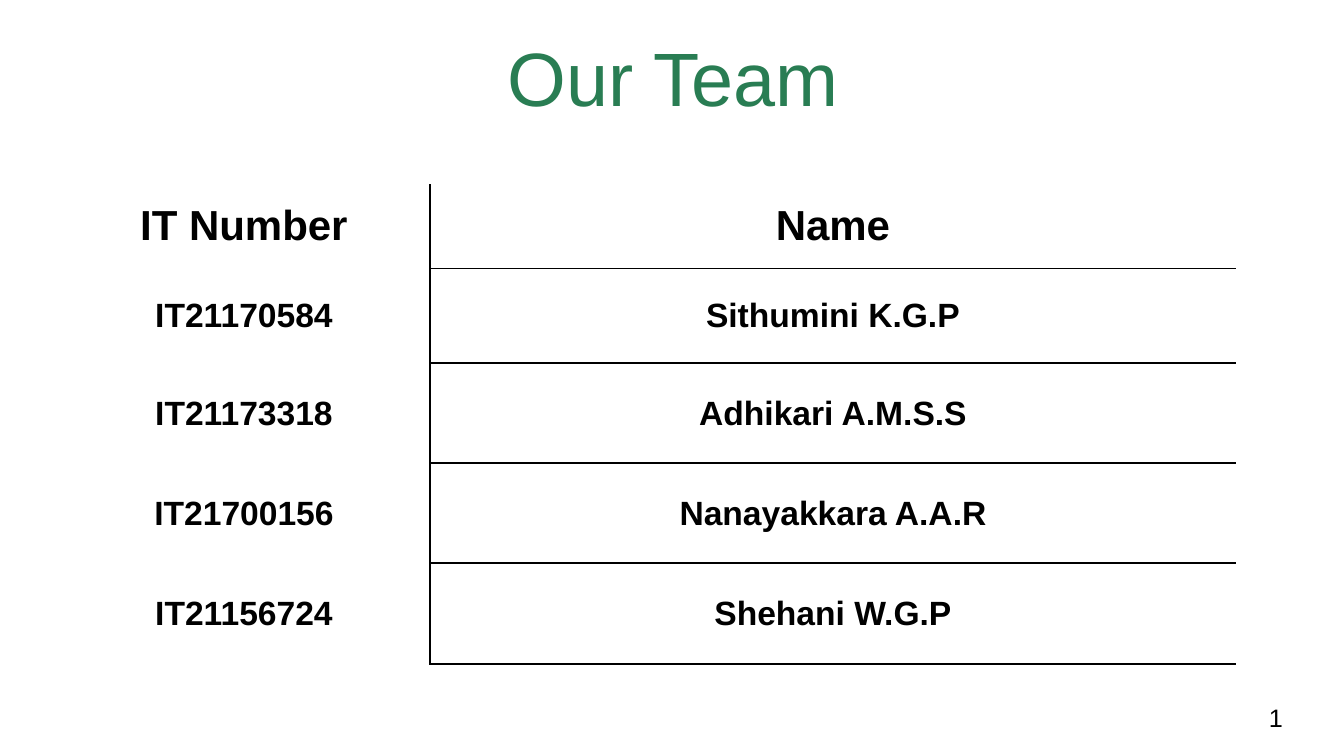
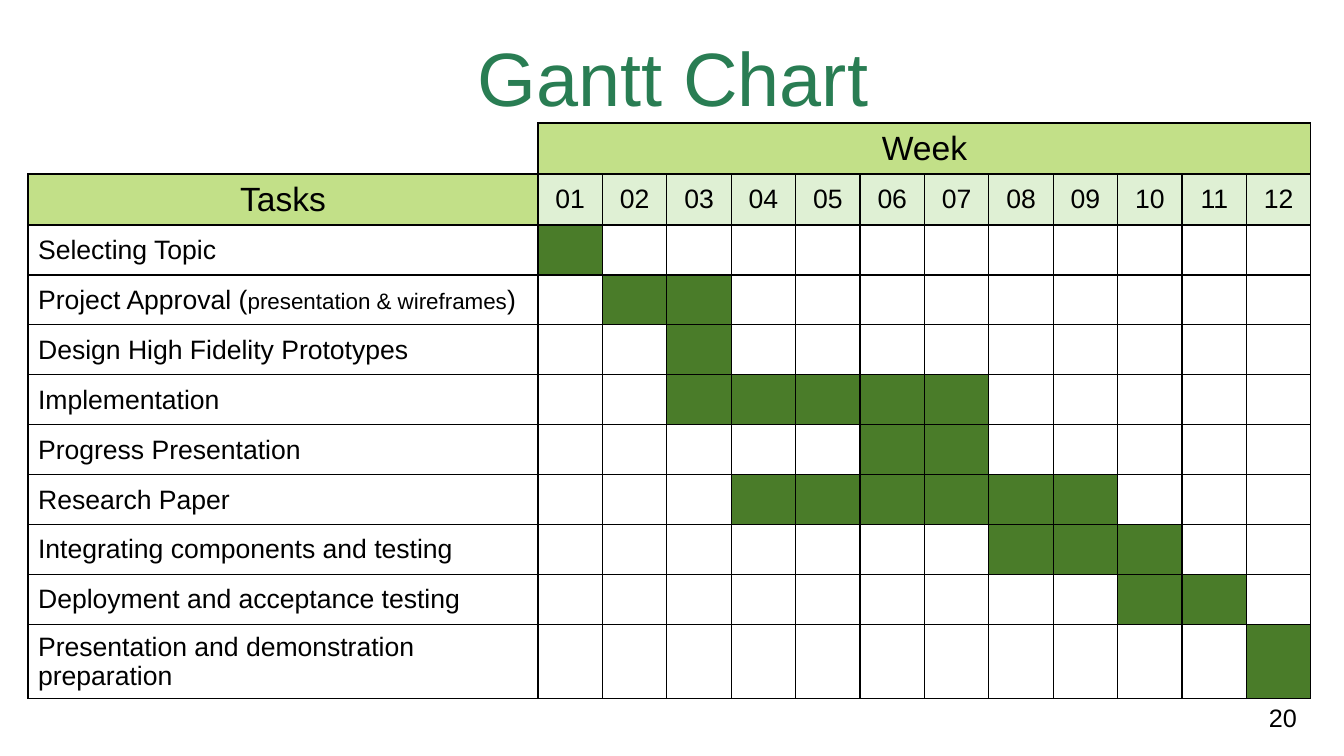
from lxml import etree
from pptx import Presentation
from pptx.dml.color import RGBColor
from pptx.enum.text import MSO_ANCHOR as Anchor, PP_ALIGN as Align
from pptx.oxml.ns import qn
from pptx.util import Pt

SLIDE_W, SLIDE_H = 1344, 756
SCALE = 12192000 / SLIDE_W
FONT = "Arial"
BLACK = RGBColor(0x00, 0x00, 0x00)
TITLE_GREEN = RGBColor(0x29, 0x7D, 0x53)
HEADER_GREEN = RGBColor(0xC2, 0xE0, 0x88)
WEEK_GREEN = RGBColor(0xDF, 0xF0, 0xD4)
BAR_GREEN = RGBColor(0x4A, 0x7C, 0x29)
PLAIN_TABLE_STYLE = "{2D5ABB26-0587-4C30-8999-92F81FD0307C}"
ALL_SIDES = "LRTB"

TITLE_BOX = (35, 42, 1276, 80)
NUMBER_LEFT, NUMBER_TOP, NUMBER_H = 1259, 697, 40
TEAM_BOX = (58, 184, 1178, 480)
GANTT_BOX = (28, 123, 1283, 573)

MEMBERS = [
    ("IT Number", "Name"),
    ("IT21170584", "Sithumini K.G.P"),
    ("IT21173318", "Adhikari A.M.S.S"),
    ("IT21700156", "Nanayakkara A.A.R"),
    ("IT21156724", "Shehani W.G.P"),
]
WEEKS = 12
TASKS = [
    ("Selecting Topic", 1, 1),
    ([("Project Approval (", 19), ("presentation & wireframes", 16), (")", 19)], 2, 3),
    ("Design High Fidelity Prototypes", 3, 3),
    ("Implementation", 3, 7),
    ("Progress Presentation", 6, 7),
    ("Research Paper", 4, 9),
    ("Integrating components and testing", 8, 10),
    ("Deployment and acceptance testing", 10, 11),
    ("Presentation and demonstration preparation", 12, 12),
]


def px(length):
    """Turn px into EMU."""
    return round(length * SCALE)


def write(frame, text, size=19, color=BLACK, bold=False, align=Align.LEFT, spacing=None):
    """Put one paragraph in a frame; text is a string or (text, size) runs."""
    paragraph = frame.paragraphs[0]
    paragraph.alignment = align
    if spacing:
        paragraph.line_spacing = spacing
    for words, run_size in [(text, size)] if isinstance(text, str) else text:
        run = paragraph.add_run()
        run.text = words
        run.font.name = FONT
        run.font.size = Pt(run_size)
        run.font.bold = bold
        run.font.color.rgb = color


def add_label(slide, box, text, anchor=Anchor.TOP, **style):
    """Add a wrapping text box."""
    frame = slide.shapes.add_textbox(*map(px, box)).text_frame
    frame.word_wrap = True
    frame.vertical_anchor = anchor
    write(frame, text, **style)


def add_page(deck, title, number):
    """Add a blank slide with its title and slide number."""
    slide = deck.slides.add_slide(deck.slide_layouts[6])
    add_label(slide, TITLE_BOX, title, anchor=Anchor.MIDDLE, size=54,
              color=TITLE_GREEN, align=Align.CENTER, spacing=0.9)
    number_w = 18 + 18 * len(number)
    add_label(slide, (NUMBER_LEFT, NUMBER_TOP, number_w, NUMBER_H), number, size=18)
    return slide


def add_grid(slide, box, widths, heights):
    """Add an unstyled table with the given column widths and row heights."""
    grid = slide.shapes.add_table(len(heights), len(widths), *map(px, box)).table
    grid.first_row = grid.horz_banding = False
    grid._tbl.tblPr.find(qn("a:tableStyleId")).text = PLAIN_TABLE_STYLE
    for column, width in zip(grid.columns, widths):
        column.width = px(width)
    for row, height in zip(grid.rows, heights):
        row.height = px(height)
    return grid


def style_cell(cell, sides, weight, fill=None):
    """Set the borders, fill and anchor of a cell."""
    properties = cell._tc.get_or_add_tcPr()
    for side in sides:
        border = etree.SubElement(properties, qn(f"a:ln{side}"), w=str(Pt(weight)))
        ink = etree.SubElement(border, qn("a:solidFill"))
        etree.SubElement(ink, qn("a:srgbClr"), val=str(BLACK))
    if fill is None:
        cell.fill.background()
    else:
        cell.fill.solid()
        cell.fill.fore_color.rgb = fill
    cell.vertical_anchor = Anchor.MIDDLE


def add_team(slide, box):
    """Draw the table of team members."""
    number_w = 372
    header_h, first_h, member_h = 84, 95, 100
    last_h = box[3] - header_h - first_h - 2 * member_h
    team = add_grid(slide, box, [number_w, box[2] - number_w],
                    [header_h, first_h, member_h, member_h, last_h])
    for row, member in enumerate(MEMBERS):
        name_sides = "LTB" if row else "LB"
        for column, (text, sides) in enumerate(zip(member, ("R", name_sides))):
            cell = team.cell(row, column)
            style_cell(cell, sides, 1.5)
            cell.margin_left = cell.margin_right = px(17)
            cell.margin_top = cell.margin_bottom = px(17)
            write(cell.text_frame, text, size=24 if row else 30, bold=True,
                  align=Align.CENTER)


def add_gantt(slide, box):
    """Draw the task schedule by week."""
    task_w, header_h, task_h = 510, 51, 50
    week_w = (box[2] - task_w) / WEEKS
    heights = [header_h] * 2 + [task_h] * (len(TASKS) - 1)
    heights.append(box[3] - sum(heights))
    gantt = add_grid(slide, box, [task_w] + [week_w] * WEEKS, heights)

    style_cell(gantt.cell(0, 0), "RB", 1)
    style_cell(gantt.cell(1, 0), ALL_SIDES, 1, HEADER_GREEN)
    write(gantt.cell(1, 0).text_frame, "Tasks", size=24, align=Align.CENTER)
    gantt.cell(0, 1).merge(gantt.cell(0, WEEKS))
    write(gantt.cell(0, 1).text_frame, "Week", size=24, align=Align.CENTER)
    for week in range(1, WEEKS + 1):
        style_cell(gantt.cell(0, week), ALL_SIDES, 1, HEADER_GREEN)
        style_cell(gantt.cell(1, week), ALL_SIDES, 1, WEEK_GREEN)
        write(gantt.cell(1, week).text_frame, f"{week:02}", align=Align.CENTER)

    for row, (task, start, end) in enumerate(TASKS, 2):
        style_cell(gantt.cell(row, 0), ALL_SIDES, 1)
        write(gantt.cell(row, 0).text_frame, task)
        for week in range(1, WEEKS + 1):
            fill = BAR_GREEN if start <= week <= end else None
            style_cell(gantt.cell(row, week), ALL_SIDES, 1, fill)


def main():
    """Build and save the deck."""
    deck = Presentation()
    deck.slide_width, deck.slide_height = px(SLIDE_W), px(SLIDE_H)
    add_team(add_page(deck, "Our Team", "1"), TEAM_BOX)
    add_gantt(add_page(deck, "Gantt Chart", "20"), GANTT_BOX)
    deck.save("out.pptx")


if __name__ == "__main__":
    main()
